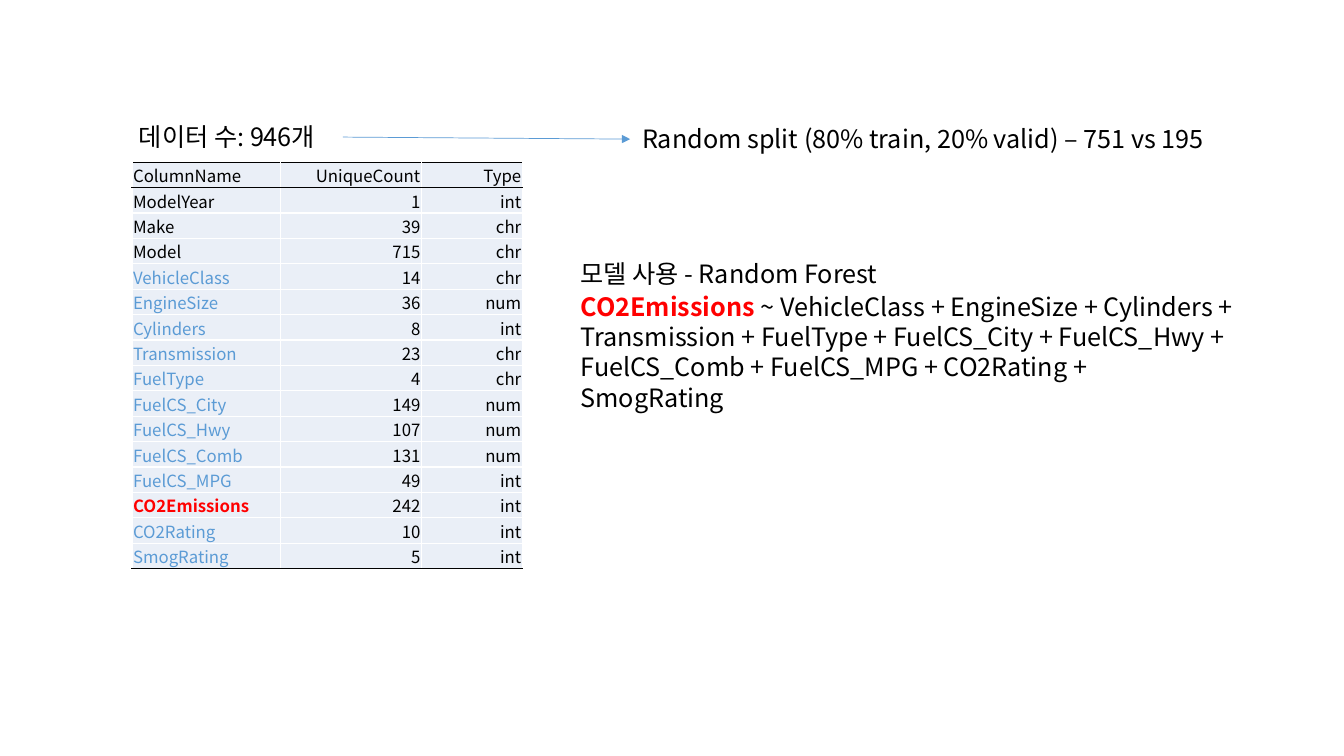
from lxml.etree import SubElement
from pptx import Presentation
from pptx.dml.color import RGBColor
from pptx.enum.shapes import MSO_CONNECTOR as Connector
from pptx.enum.text import MSO_ANCHOR as Anchor, MSO_AUTO_SIZE as AutoSize, PP_ALIGN as Align
from pptx.oxml.ns import qn
from pptx.util import Inches, Pt

FONT = "Noto Sans CJK KR"
BLACK, WHITE, BLUE, RED, PALE = "000000", "FFFFFF", "5B9BD5", "FF0000", "EAEFF7"
TARGET = "CO2Emissions"
UNUSED = ("ColumnName", "ModelYear", "Make", "Model")
COLUMN_WIDTHS = (1.47, 1.4, 1)
ROW_HEIGHT = 0.24
ROWS = (
    ("ColumnName", "UniqueCount", "Type"),
    ("ModelYear", "1", "int"),
    ("Make", "39", "chr"),
    ("Model", "715", "chr"),
    ("VehicleClass", "14", "chr"),
    ("EngineSize", "36", "num"),
    ("Cylinders", "8", "int"),
    ("Transmission", "23", "chr"),
    ("FuelType", "4", "chr"),
    ("FuelCS_City", "149", "num"),
    ("FuelCS_Hwy", "107", "num"),
    ("FuelCS_Comb", "131", "num"),
    ("FuelCS_MPG", "49", "int"),
    (TARGET, "242", "int"),
    ("CO2Rating", "10", "int"),
    ("SmogRating", "5", "int"),
)


def color(value):
    return RGBColor.from_string(value)


def add_run(paragraph, text, size, value=BLACK, bold=False):
    run = paragraph.add_run()
    run.text = text
    run.font.name = FONT
    run.font.size = Pt(size)
    run.font.bold = bold
    run.font.color.rgb = color(value)
    SubElement(run.font._element, qn("a:ea"), typeface=FONT)


def add_text(slide, left, top, width, height, runs, wrap=False):
    shape = slide.shapes.add_textbox(Inches(left), Inches(top), Inches(width), Inches(height))
    frame = shape.text_frame
    frame.word_wrap = wrap
    frame.auto_size = AutoSize.SHAPE_TO_FIT_TEXT
    paragraph = frame.paragraphs[0]
    paragraph.line_spacing = Pt(21.6)
    for text, value, bold in runs:
        add_run(paragraph, text, 18, value, bold)


def add_arrow(slide, left, top, right, bottom):
    connector = slide.shapes.add_connector(
        Connector.STRAIGHT, Inches(left), Inches(top), Inches(right), Inches(bottom))
    connector.line.color.rgb = color(BLUE)
    connector.line.width = Pt(0.5)
    SubElement(connector.line._get_or_add_ln(), qn("a:tailEnd"), type="triangle")
    SubElement(connector._element.spPr, qn("a:effectLst"))


def set_border(cell, side, value):
    line = SubElement(cell._tc.get_or_add_tcPr(), qn(f"a:ln{side}"), w=str(Pt(1)))
    fill = SubElement(line, qn("a:solidFill"))
    SubElement(fill, qn("a:srgbClr"), val=value)


def format_cell(cell, text, align, value, top, bottom):
    cell.margin_left = cell.margin_right = cell.margin_top = Inches(0.01)
    cell.margin_bottom = 0
    cell.vertical_anchor = Anchor.BOTTOM
    paragraph = cell.text_frame.paragraphs[0]
    paragraph.alignment = align
    add_run(paragraph, text, 12, value, value == RED)
    for side, border in (("L", WHITE), ("R", WHITE), ("T", top), ("B", bottom)):
        set_border(cell, side, border)
    cell.fill.solid()
    cell.fill.fore_color.rgb = color(PALE)


def name_color(name):
    if name == TARGET:
        return RED
    return BLACK if name in UNUSED else BLUE


def add_column_table(slide, left, top):
    table = slide.shapes.add_table(
        len(ROWS), len(COLUMN_WIDTHS), Inches(left), Inches(top),
        Inches(sum(COLUMN_WIDTHS)), Inches(ROW_HEIGHT * len(ROWS))).table
    table.first_row = table.horz_banding = False
    for column, width in zip(table.columns, COLUMN_WIDTHS):
        column.width = Inches(width)
    for i, texts in enumerate(ROWS):
        table.rows[i].height = Inches(ROW_HEIGHT)
        top_border = BLACK if i <= 1 else WHITE
        bottom_border = BLACK if i in (0, len(ROWS) - 1) else WHITE
        for j, text in enumerate(texts):
            align = Align.RIGHT if j else Align.LEFT
            value = BLACK if j else name_color(text)
            format_cell(table.cell(i, j), text, align, value, top_border, bottom_border)


def main():
    presentation = Presentation()
    presentation.slide_width = Inches(13.33)
    presentation.slide_height = Inches(7.5)
    slide = presentation.slides.add_slide(presentation.slide_layouts[6])
    add_column_table(slide, 1.31, 1.61)
    add_text(slide, 1.28, 1.15, 2.11, 0.4, [("데이터 수: 946개", BLACK, False)])
    predictors = [row[0] for row in ROWS if name_color(row[0]) == BLUE]
    add_text(slide, 5.66, 2.84, 6.67, 1.31,
             [(TARGET, RED, True), (" ~ " + " + ".join(predictors), BLACK, False)], wrap=True)
    add_arrow(slide, 3.4, 1.36, 6.25, 1.38)
    add_text(slide, 6.27, 1.17, 5.85, 0.4,
             [("Random split (80% train, 20% valid) – 751 vs 195", BLACK, False)])
    add_text(slide, 5.66, 2.51, 3.41, 0.4, [("모델 사용 - Random Forest", BLACK, False)])
    presentation.save("out.pptx")


if __name__ == "__main__":
    main()
